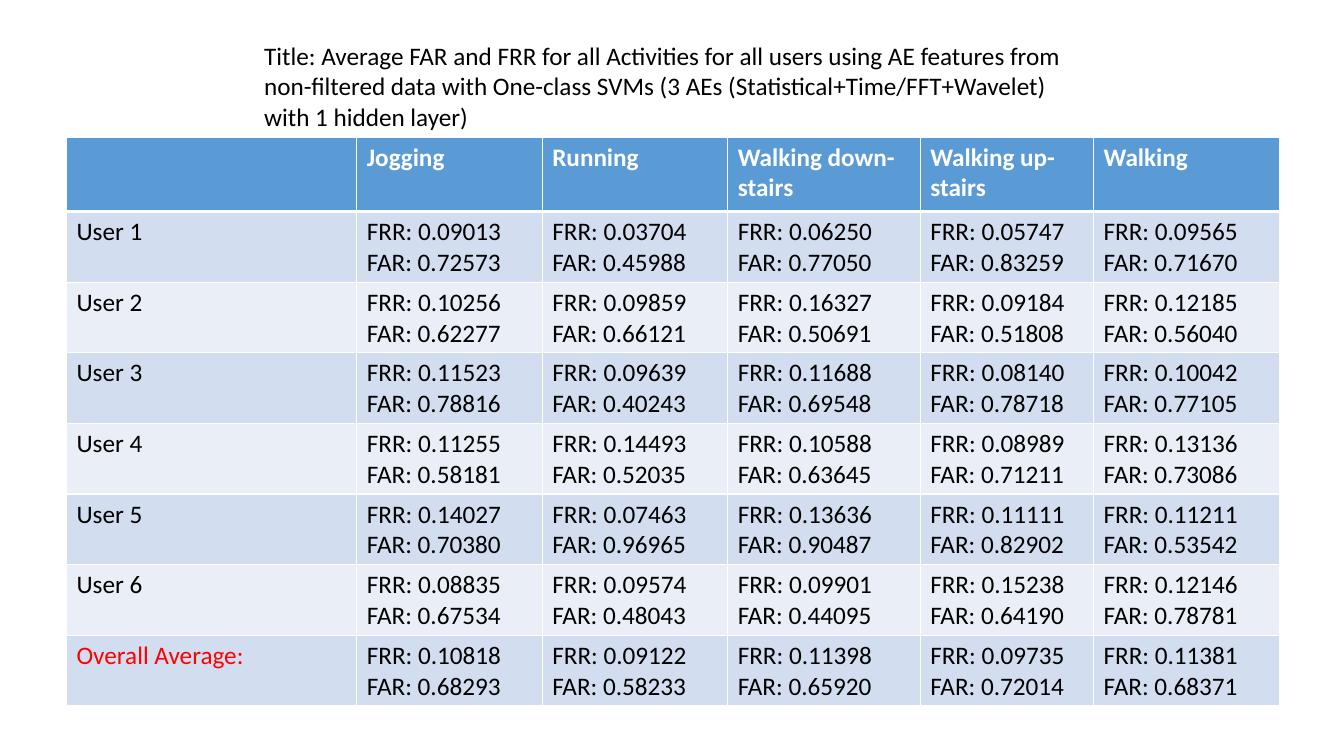
from dataclasses import dataclass

import pptx
import pptx.dml.color
import pptx.enum.text
import pptx.oxml
import pptx.oxml.ns
import pptx.table
import pptx.text.text
import pptx.util

Pt = pptx.util.Pt

COLOURS = {
    "header": "5B9BD5",
    "odd_band": "D2DEEF",
    "even_band": "EAEFF7",
    "border": "FFFFFF",
    "header_text": "FFFFFF",
    "text": "000000",
    "average": "FF0000",
}
HEADING = (
    "Title: Average FAR and FRR for all Activities for all users using AE features "
    "from non-filtered data with One-class SVMs (3 AEs (Statistical+Time/FFT+Wavelet) "
    "with 1 hidden layer)"
)


@dataclass(frozen=True)
class Activity:
    name: str
    width: float


@dataclass(frozen=True)
class UserRates:
    label: str
    frr: tuple[float, ...]
    far: tuple[float, ...]
    label_colour: str = "text"


ACTIVITIES = [
    Activity("", 207.36),
    Activity("Jogging", 132.48),
    Activity("Running", 132.48),
    Activity("Walking down-stairs", 137.52),
    Activity("Walking up-stairs", 123.84),
    Activity("Walking", 133.2),
]
RATES = [
    UserRates("User 1", (0.09013, 0.03704, 0.06250, 0.05747, 0.09565),
              (0.72573, 0.45988, 0.77050, 0.83259, 0.71670)),
    UserRates("User 2", (0.10256, 0.09859, 0.16327, 0.09184, 0.12185),
              (0.62277, 0.66121, 0.50691, 0.51808, 0.56040)),
    UserRates("User 3", (0.11523, 0.09639, 0.11688, 0.08140, 0.10042),
              (0.78816, 0.40243, 0.69548, 0.78718, 0.77105)),
    UserRates("User 4", (0.11255, 0.14493, 0.10588, 0.08989, 0.13136),
              (0.58181, 0.52035, 0.63645, 0.71211, 0.73086)),
    UserRates("User 5", (0.14027, 0.07463, 0.13636, 0.11111, 0.11211),
              (0.70380, 0.96965, 0.90487, 0.82902, 0.53542)),
    UserRates("User 6", (0.08835, 0.09574, 0.09901, 0.15238, 0.12146),
              (0.67534, 0.48043, 0.44095, 0.64190, 0.78781)),
    UserRates("Overall Average:", (0.10818, 0.09122, 0.11398, 0.09735, 0.11381),
              (0.68293, 0.58233, 0.65920, 0.72014, 0.68371), "average"),
]
HEADER_HEIGHT = 53.28
RATE_HEIGHT = 50.4


def rgb(colour: str) -> pptx.dml.color.RGBColor:
    return pptx.dml.color.RGBColor.from_string(COLOURS[colour])


def write(frame: pptx.text.text.TextFrame, text: str, *, colour: str = "text",
          bold: bool = False, size: float = 18, font: str = "Calibri") -> None:
    frame.text = text
    for paragraph in frame.paragraphs:
        paragraph.alignment = pptx.enum.text.PP_ALIGN.LEFT
        for run in paragraph.runs:
            run.font.name = font
            run.font.size = Pt(size)
            run.font.bold = bold
            run.font.color.rgb = rgb(colour)


def draw_borders(cell: pptx.table._Cell, *, top: float = 1, bottom: float = 1) -> None:
    properties = cell._tc.get_or_add_tcPr()
    for side, width in {"L": 1, "R": 1, "T": top, "B": bottom}.items():
        properties.append(pptx.oxml.parse_xml(
            f'<a:ln{side} {pptx.oxml.ns.nsdecls("a")} w="{Pt(width)}"><a:solidFill>'
            f'<a:srgbClr val="{COLOURS["border"]}"/></a:solidFill></a:ln{side}>'
        ))


def fill_cell(cell: pptx.table._Cell, text: str, fill: str, *, colour: str = "text",
              bold: bool = False, top: float = 1, bottom: float = 1) -> None:
    draw_borders(cell, top=top, bottom=bottom)
    cell.fill.solid()
    cell.fill.fore_color.rgb = rgb(fill)
    write(cell.text_frame, text, colour=colour, bold=bold)


def fill_rates(table: pptx.table.Table, row: int, user: UserRates) -> None:
    band = "odd_band" if row % 2 else "even_band"
    top = 3 if row == 1 else 1
    fill_cell(table.cell(row, 0), user.label, band, colour=user.label_colour, top=top)
    for column, (frr, far) in enumerate(zip(user.frr, user.far), start=1):
        fill_cell(table.cell(row, column), f"FRR: {frr:.5f}\nFAR: {far:.5f}", band, top=top)


def main() -> None:
    presentation = pptx.Presentation()
    presentation.slide_width, presentation.slide_height = Pt(960), Pt(540)
    slide = presentation.slides.add_slide(presentation.slide_layouts[5])

    heading = slide.shapes.title
    heading.left, heading.top = Pt(181.44), Pt(25.2)
    heading.width, heading.height = Pt(585.36), Pt(72.72)
    heading.text_frame.vertical_anchor = pptx.enum.text.MSO_ANCHOR.TOP
    heading.text_frame.word_wrap = True
    heading.text_frame.auto_size = pptx.enum.text.MSO_AUTO_SIZE.SHAPE_TO_FIT_TEXT
    write(heading.text_frame, HEADING)

    table = slide.shapes.add_table(
        len(RATES) + 1, len(ACTIVITIES), Pt(47.52), Pt(97.92),
        Pt(sum(activity.width for activity in ACTIVITIES)),
        Pt(HEADER_HEIGHT + RATE_HEIGHT * len(RATES)),
    ).table
    table.rows[0].height = Pt(HEADER_HEIGHT)
    for column, activity in enumerate(ACTIVITIES):
        table.columns[column].width = Pt(activity.width)
        fill_cell(table.cell(0, column), activity.name, "header",
                  colour="header_text", bold=True, bottom=3)
    for row, user in enumerate(RATES, start=1):
        table.rows[row].height = Pt(RATE_HEIGHT)
        fill_rates(table, row, user)

    presentation.save("out.pptx")


if __name__ == "__main__":
    main()
